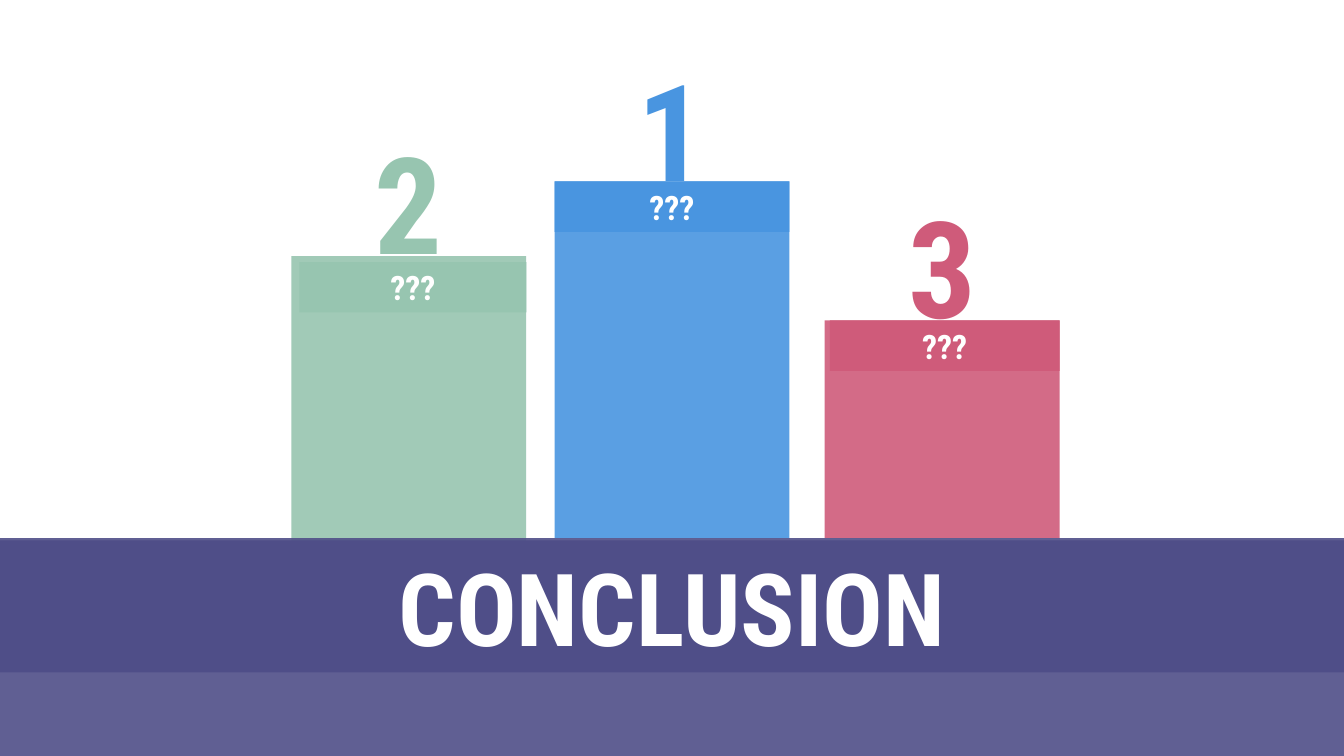
from typing import NamedTuple

from lxml import etree
from pptx import Presentation
from pptx.dml.color import RGBColor
from pptx.enum.shapes import MSO_SHAPE
from pptx.enum.text import MSO_ANCHOR, MSO_AUTO_SIZE, PP_ALIGN
from pptx.oxml.ns import qn
from pptx.util import Inches, Pt

RECTANGLE = MSO_SHAPE.RECTANGLE
MIDDLE = MSO_ANCHOR.MIDDLE
NO_AUTOSIZE = MSO_AUTO_SIZE.NONE
CENTER = PP_ALIGN.CENTER

FONT = "Roboto Condensed"
WHITE = RGBColor(0xFF, 0xFF, 0xFF)
BLUE = RGBColor(0x49, 0x95, 0xE0)
GREEN = RGBColor(0x97, 0xC5, 0xB0)
RED = RGBColor(0xCF, 0x5B, 0x7A)
PURPLE = RGBColor(0x4F, 0x4E, 0x88)

SLIDE_WIDTH = 13.33
SLIDE_HEIGHT = 7.5
FLOOR_TOP = 5.34
STEP_WIDTH = 2.33
NUMBER_WIDTH = 1.1
NUMBER_HEIGHT = 1.72
BAND_HEIGHT = 0.5
TITLE_ONLY = 5


class Step(NamedTuple):
    """One step of the podium, with lengths in inches."""
    place: str
    color: RGBColor
    left: float
    top: float
    height: float
    number_top: float
    band_top: float
    band_inset: float


STEPS = [
    Step("1", BLUE, 5.5, 1.8, 3.54, 0.41, 1.8, 0),
    Step("2", GREEN, 2.89, 2.54, 2.83, 1.13, 2.6, 0.08),
    Step("3", RED, 8.18, 3.18, 2.16, 1.77, 3.18, 0.05),
]


def set_text(shape, text, size, color=WHITE):
    """Write bold, centred text into a shape."""
    frame = shape.text_frame
    frame.word_wrap = True
    frame.auto_size = NO_AUTOSIZE
    frame.vertical_anchor = MIDDLE
    paragraph = frame.paragraphs[0]
    paragraph.text = text
    paragraph.alignment = CENTER
    paragraph.line_spacing = 1.0
    paragraph.font.name = FONT
    paragraph.font.size = Pt(size)
    paragraph.font.bold = True
    paragraph.font.color.rgb = color


def set_fill(shape, color, opacity=100):
    """Fill a shape with one colour at an opacity in percent."""
    shape.fill.solid()
    shape.fill.fore_color.rgb = color
    if opacity < 100:
        color_element = shape.element.spPr.find(".//" + qn("a:srgbClr"))
        etree.SubElement(color_element, qn("a:alpha"), val=str(opacity * 1000))


def add_rectangle(slide, left, top, width, height, color, opacity=100):
    """Add a rectangle without outline or shadow."""
    shape = slide.shapes.add_shape(
        RECTANGLE, Inches(left), Inches(top), Inches(width), Inches(height))
    shape.shadow.inherit = False
    shape.line.fill.background()
    set_fill(shape, color, opacity)
    return shape


def add_column(slide, step):
    """Add the column of a step and the number standing on it."""
    add_rectangle(slide, step.left, step.top, STEP_WIDTH, step.height, step.color, 90)
    number_left = step.left + (STEP_WIDTH - NUMBER_WIDTH) / 2
    number = slide.shapes.add_textbox(
        Inches(number_left), Inches(step.number_top),
        Inches(NUMBER_WIDTH), Inches(NUMBER_HEIGHT))
    set_text(number, step.place, 96, step.color)


def add_band(slide, step):
    """Add the name band of a step, aligned to the column's right edge."""
    band = add_rectangle(
        slide, step.left + step.band_inset, step.band_top,
        STEP_WIDTH - step.band_inset, BAND_HEIGHT, step.color)
    set_text(band, "???", 24)


def place_title(slide, text):
    """Turn the title placeholder into the banner in front of the floor."""
    title = slide.shapes.title
    title.left, title.top = Inches(0), Inches(5.36)
    title.width, title.height = Inches(SLIDE_WIDTH), Inches(1.31)
    set_fill(title, PURPLE)
    set_text(title, text, 72)
    title.element.getparent().append(title.element)


def main():
    """Build the podium slide and save it."""
    presentation = Presentation()
    presentation.slide_width = Inches(SLIDE_WIDTH)
    presentation.slide_height = Inches(SLIDE_HEIGHT)
    slide = presentation.slides.add_slide(presentation.slide_layouts[TITLE_ONLY])
    for step in STEPS:
        add_column(slide, step)
    for step in STEPS:
        add_band(slide, step)
    add_rectangle(slide, 0, FLOOR_TOP, SLIDE_WIDTH, SLIDE_HEIGHT - FLOOR_TOP, PURPLE, 90)
    place_title(slide, "CONCLUSION")
    presentation.save("out.pptx")


if __name__ == "__main__":
    main()
